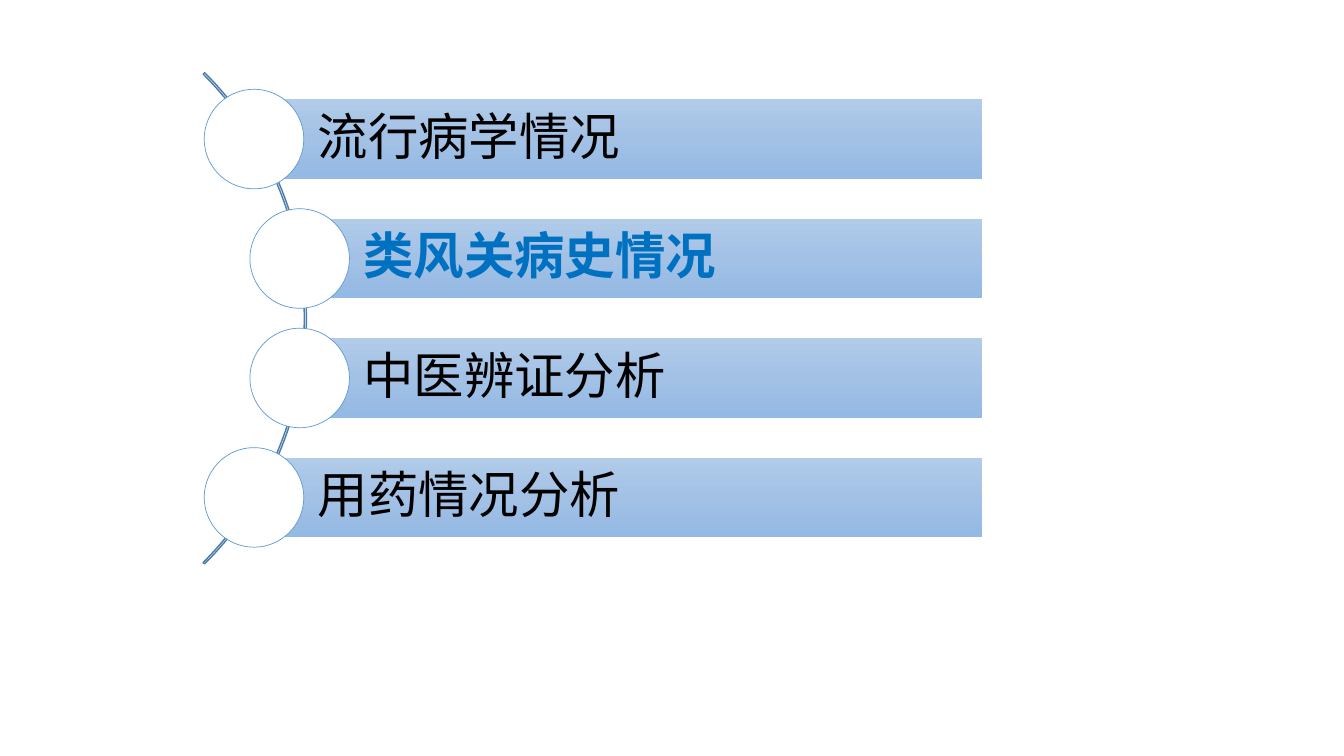
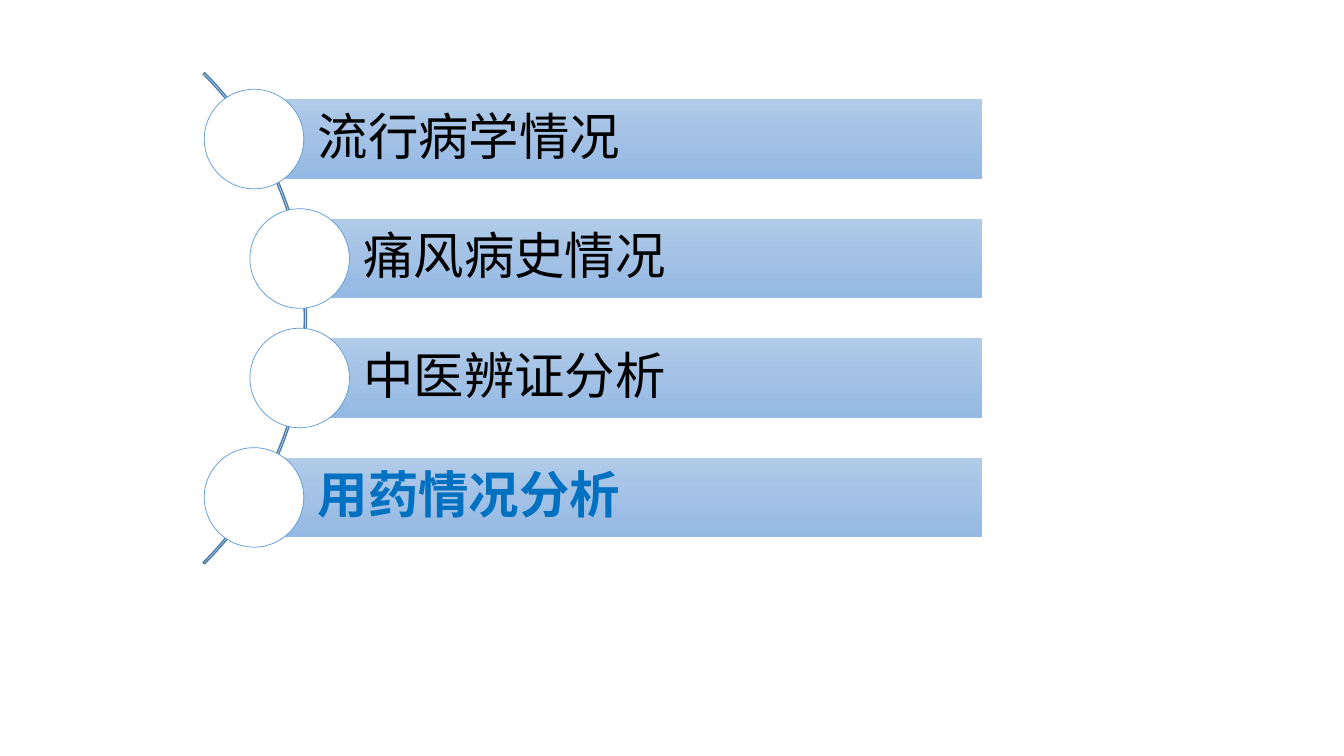
"""Build two agenda slides that highlight the current section on a curved list."""
import copy
from dataclasses import dataclass

import pptx
import pptx.dml.color
import pptx.enum.lang
import pptx.enum.shapes
import pptx.enum.text
import pptx.oxml.ns
import pptx.util


@dataclass(frozen=True)
class Theme:
    font: str = "Calibri"
    item_size: int = 36
    arc_line_width: float = 1
    dot_line_width: float = 0.5
    text: str = "000000"
    highlight: str = "0070C0"
    dot_fill: str = "FFFFFF"
    dot_line: str = "5B9BD5"
    arc_line: str = "497CAB"
    bar_gradient: tuple = ((0, "B1CBE9"), (0.5, "A3C1E5"), (1, "93B9E4"))


def rgb(value):
    return pptx.dml.color.RGBColor.from_string(value)


def write_text(shape, text, *, size, color, font, bold=False, indent=0):
    frame = shape.text_frame
    frame.word_wrap = True
    frame.vertical_anchor = pptx.enum.text.MSO_ANCHOR.MIDDLE
    frame.margin_left = indent
    frame.margin_right = frame.margin_top = frame.margin_bottom = pptx.util.Inches(0.1)
    paragraph = frame.paragraphs[0]
    paragraph.alignment = pptx.enum.text.PP_ALIGN.LEFT
    paragraph.line_spacing = 0.9
    paragraph.space_after = pptx.util.Pt(0.35 * size)
    run = paragraph.add_run()
    run.text = text
    run.font.name = font
    run.font.size = pptx.util.Pt(size)
    run.font.bold = bold
    run.font.color.rgb = rgb(color)
    run.font.language_id = pptx.enum.lang.MSO_LANGUAGE_ID.SIMPLIFIED_CHINESE


theme = Theme()
shapes_enum = pptx.enum.shapes.MSO_SHAPE
presentation = pptx.Presentation()
presentation.slide_width = pptx.util.Inches(13.333)
presentation.slide_height = pptx.util.Inches(7.5)
width, height = presentation.slide_width, presentation.slide_height

row_pitch = 0.158 * height
bar_height = row_pitch * 2 / 3
dot_size = bar_height * 1.25
text_indent = bar_height * 0.8
list_middle = 0.421 * height
outer_column, inner_column, right_edge = 0.189 * width, 0.223 * width, 0.731 * width
columns = (outer_column, inner_column, inner_column, outer_column)
arc_size = 0.919 * height
arc_left = -0.289 * width

agendas = (
    (("流行病学情况", "类风关病史情况", "中医辨证分析", "用药情况分析"), 1),
    (("流行病学情况", "痛风病史情况", "中医辨证分析", "用药情况分析"), 3),
)

for items, current in agendas:
    slide = presentation.slides.add_slide(presentation.slide_layouts[6])

    arc = slide.shapes.add_shape(
        shapes_enum.BLOCK_ARC, int(arc_left), int(list_middle - arc_size / 2),
        int(arc_size), int(arc_size))
    for index, adjustment in enumerate((189, 27, 0.003)):
        arc.adjustments[index] = adjustment
    arc.shadow.inherit = False
    arc.fill.background()
    arc.line.color.rgb = rgb(theme.arc_line)
    arc.line.width = pptx.util.Pt(theme.arc_line_width)

    for row, (item, column) in enumerate(zip(items, columns)):
        row_middle = list_middle + (row - (len(items) - 1) / 2) * row_pitch

        bar = slide.shapes.add_shape(
            shapes_enum.RECTANGLE, int(column), int(row_middle - bar_height / 2),
            int(right_edge - column), int(bar_height))
        bar.shadow.inherit = False
        bar.line.fill.background()
        bar.fill.gradient()
        bar.fill.gradient_angle = 270
        stop_list = bar.element.spPr.find(".//" + pptx.oxml.ns.qn("a:gsLst"))
        stop_list.append(copy.deepcopy(stop_list[-1]))
        for stop, (position, color) in zip(bar.fill.gradient_stops, theme.bar_gradient):
            stop.position = position
            stop.color.rgb = rgb(color)
        is_current = row == current
        write_text(bar, item, size=theme.item_size, font=theme.font, bold=is_current,
                   color=theme.highlight if is_current else theme.text,
                   indent=int(text_indent))

        dot = slide.shapes.add_shape(
            shapes_enum.OVAL, int(column - dot_size / 2), int(row_middle - dot_size / 2),
            int(dot_size), int(dot_size))
        dot.shadow.inherit = False
        dot.fill.solid()
        dot.fill.fore_color.rgb = rgb(theme.dot_fill)
        dot.line.color.rgb = rgb(theme.dot_line)
        dot.line.width = pptx.util.Pt(theme.dot_line_width)

presentation.save("out.pptx")
